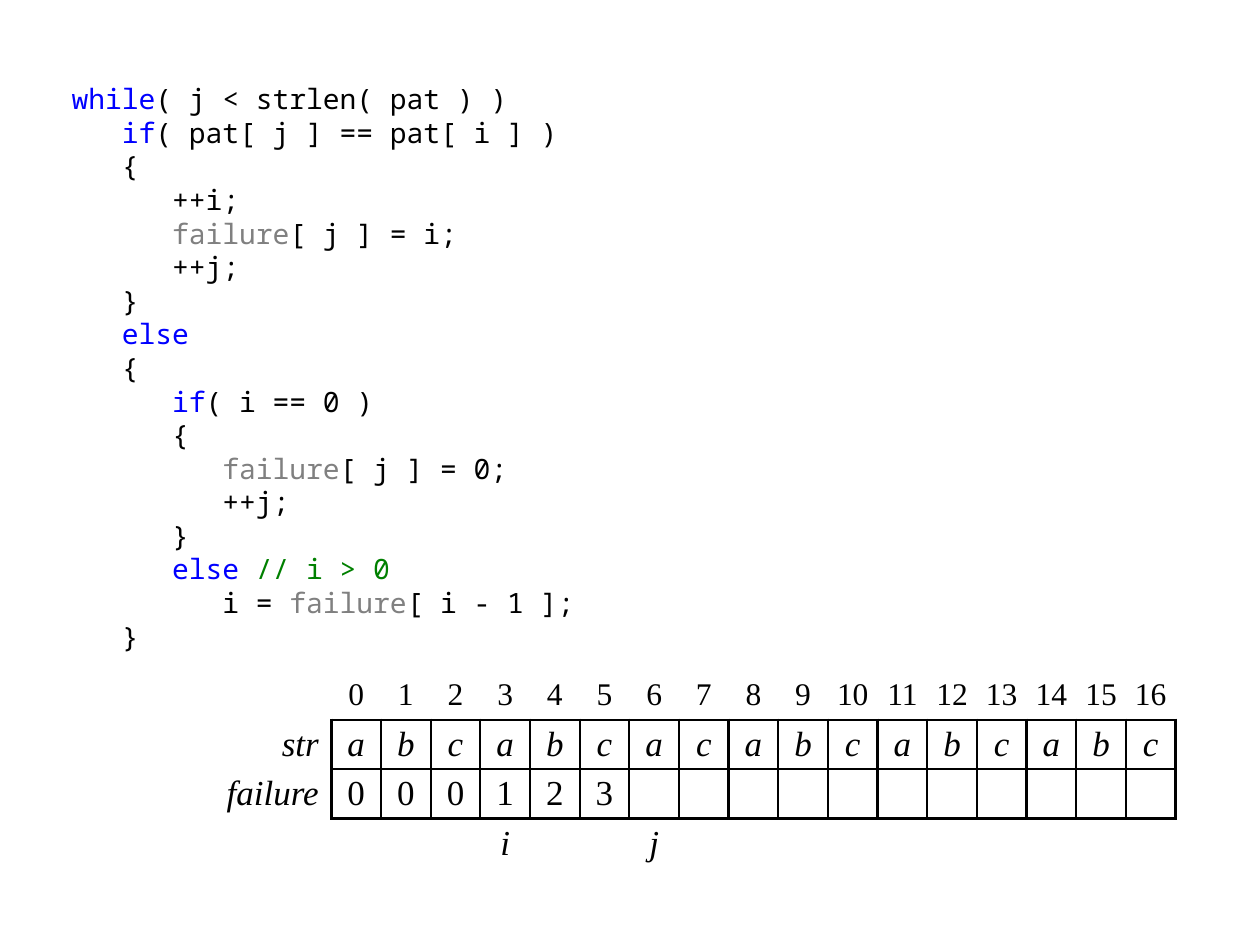
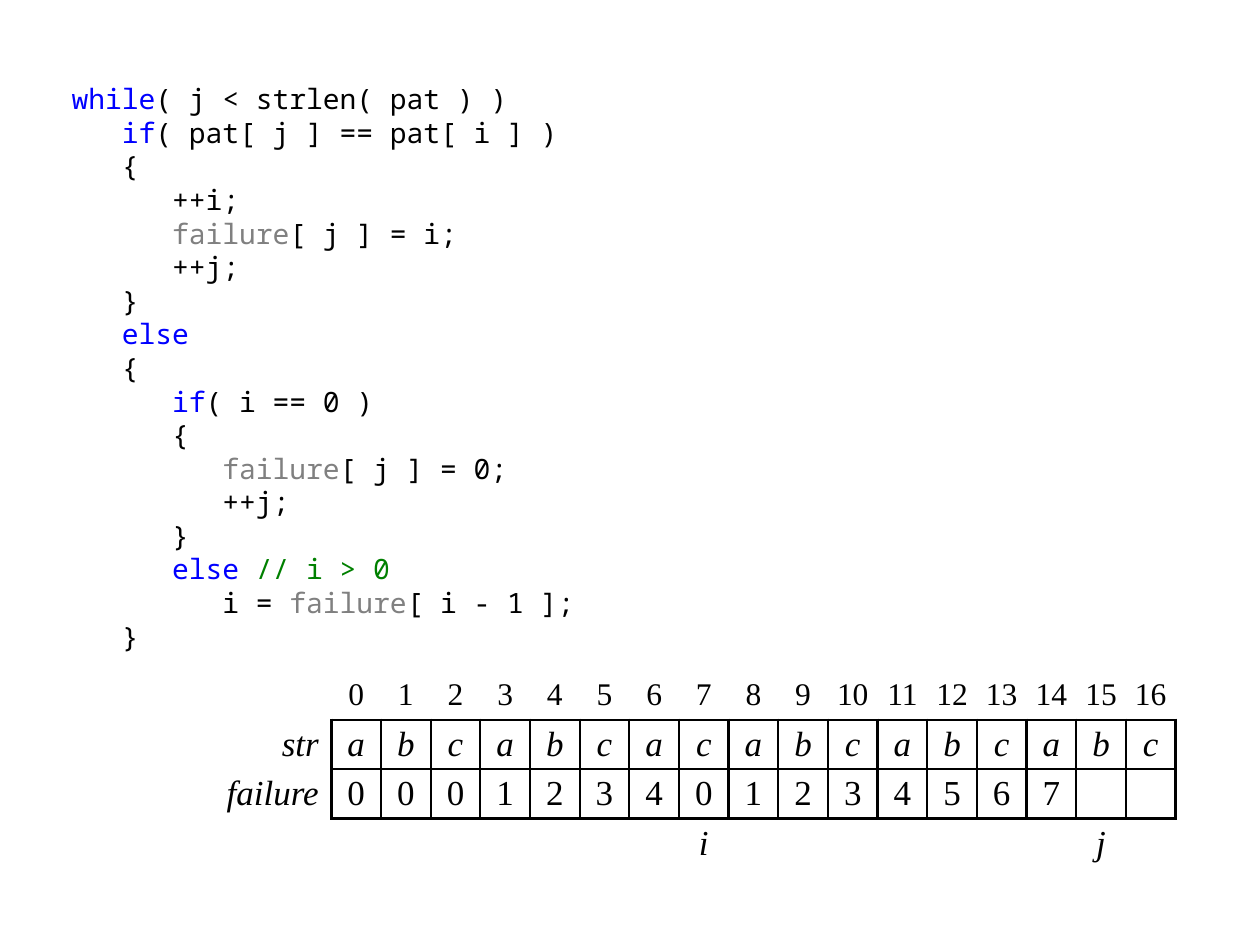
"""Two steps of building the failure table of a string matcher, below its code."""
from pptx import Presentation
from pptx.dml.color import RGBColor
from pptx.enum.text import MSO_ANCHOR, PP_ALIGN
from pptx.oxml.ns import qn
from pptx.util import Inches, Pt
from lxml import etree

MIDDLE = MSO_ANCHOR.MIDDLE
CENTER, RIGHT = PP_ALIGN.CENTER, PP_ALIGN.RIGHT

COLORS = {
    "text": "000000",
    "keyword": "0000FF",
    "array": "808080",
    "comment": "008000",
}
TOKENS = {
    "while": "keyword",
    "if": "keyword",
    "else": "keyword",
    "else ": "keyword",
    "failure": "array",
    "// i > 0": "comment",
}
CODE = """\
|while|( j < strlen( pat ) )
   |if|( pat[ j ] == pat[ i ] )
   {
      ++i;
      |failure|[ j ] = i;
      ++j;
   }
   |else|
   {
      |if|( i == 0 )
      {
         |failure|[ j ] = 0;
         ++j;
      }
      |else |// i > 0
         i = |failure|[ i - 1 ];
   }"""
PATTERN = "abcabcacabcabcabc"
STEPS = [
    {"failure": "000123", "i": 3, "j": 6},
    {"failure": "000123401234567", "i": 7, "j": 15},
]


class Deck:
    """Holds the shared style and the slide being filled."""

    code_font = "Noto Sans Mono"
    table_font = "Times New Roman"

    def __init__(self):
        self.prs = Presentation()
        self.prs.slide_width, self.prs.slide_height = Inches(10), Inches(7.5)
        self.slide = None

    def new_slide(self):
        self.slide = self.prs.slides.add_slide(self.prs.slide_layouts[6])

    def style(self, run, font, size, color="text", italic=False):
        run.font.name, run.font.size = font, Pt(size)
        run.font.italic = italic
        run.font.color.rgb = RGBColor.from_string(COLORS[color])

    def code(self, source):
        box = self.slide.shapes.add_textbox(
            Inches(0.47), Inches(0.6), Inches(4.33), Inches(4.72))
        frame = box.text_frame
        frame.word_wrap = True
        for number, line in enumerate(source.split("\n")):
            paragraph = frame.add_paragraph() if number else frame.paragraphs[0]
            paragraph.line_spacing = Pt(19.2)
            for piece in filter(None, line.split("|")):
                run = paragraph.add_run()
                run.text = piece
                self.style(run, self.code_font, 16, TOKENS.get(piece, "text"))

    def borders(self, cell, sides):
        properties = cell._tc.get_or_add_tcPr()
        for side in "LRTB":
            line = etree.SubElement(properties, qn(f"a:ln{side}"), w=str(Pt(1.5)))
            if side in sides:
                fill = etree.SubElement(line, qn("a:solidFill"))
                etree.SubElement(fill, qn("a:srgbClr"), val=COLORS["text"])
            else:
                etree.SubElement(line, qn("a:noFill"))

    def cell(self, cell, text, is_label, size, italic):
        cell.vertical_anchor = MIDDLE
        cell.margin_left = cell.margin_right = Inches(0.1 if is_label else 0.04)
        cell.margin_top = cell.margin_bottom = 0
        cell.text = text
        paragraph = cell.text_frame.paragraphs[0]
        paragraph.alignment = RIGHT if is_label else CENTER
        for run in paragraph.runs:
            self.style(run, self.table_font, size, italic=italic)

    def failure_table(self, step):
        count = len(PATTERN)
        markers = {step[name]: name for name in "ij"}
        rows = [
            ["", *map(str, range(count))],
            ["str", *PATTERN],
            ["failure", *step["failure"].ljust(count)],
            ["", *(markers.get(place, "") for place in range(count))],
        ]
        table = self.slide.shapes.add_table(
            len(rows), count + 1,
            Inches(1.65), Inches(5.32), Inches(7.68), Inches(1.57)).table
        table.first_row = table.horz_banding = False
        label_width = Inches(0.98)
        for number, column in enumerate(table.columns):
            column.width = Inches(6.7) // count if number else label_width

        def boxed(row, column):
            return row in (1, 2) and 1 <= column <= count

        for r, texts in enumerate(rows):
            for c, text in enumerate(texts):
                neighbours = {"L": (r, c - 1), "R": (r, c + 1),
                              "T": (r - 1, c), "B": (r + 1, c)}
                sides = [side for side, place in neighbours.items()
                         if boxed(r, c) or boxed(*place)]
                cell = table.cell(r, c)
                italic = r in (1, 3) or c == 0
                self.cell(cell, text.strip(), c == 0, 20 if r else 18, italic)
                self.borders(cell, sides)
                cell.fill.background()


def main():
    deck = Deck()
    for step in STEPS:
        deck.new_slide()
        deck.code(CODE)
        deck.failure_table(step)
    deck.prs.save("out.pptx")


if __name__ == "__main__":
    main()
